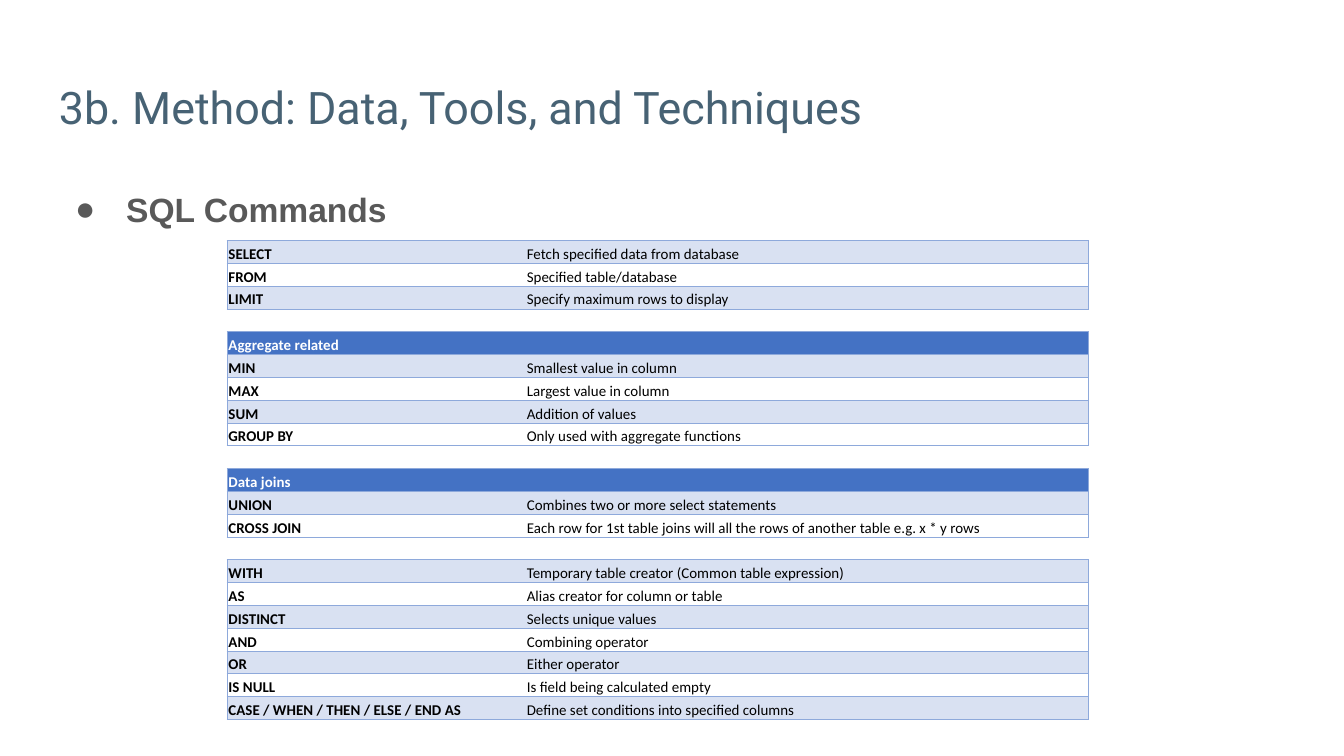
from lxml.etree import SubElement
from pptx import Presentation
from pptx.dml.color import RGBColor
from pptx.enum.text import MSO_ANCHOR as Anchor
from pptx.oxml.ns import qn
from pptx.util import Inches, Pt

SLATE = RGBColor(0x47, 0x62, 0x74)
GRAY = RGBColor(0x59, 0x59, 0x59)
BLACK = RGBColor(0, 0, 0)
WHITE = RGBColor(0xFF, 0xFF, 0xFF)
HEADER_BLUE = RGBColor(0x44, 0x72, 0xC4)
BAND_BLUE = RGBColor(0xD9, 0xE1, 0xF2)
RULE_BLUE = RGBColor(0x8E, 0xA9, 0xDB)

SLIDE_WIDTH = 10
ROW_HEIGHT = 0.17
COMMAND_SHARE = 2.22 / 6.41
COMMAND_GROUPS = [
    (None, [
        ("SELECT", "Fetch specified data from database"),
        ("FROM", "Specified table/database"),
        ("LIMIT", "Specify maximum rows to display"),
    ]),
    ("Aggregate related", [
        ("MIN", "Smallest value in column"),
        ("MAX", "Largest value in column"),
        ("SUM", "Addition of values"),
        ("GROUP BY", "Only used with aggregate functions"),
    ]),
    ("Data joins", [
        ("UNION", "Combines two or more select statements"),
        ("CROSS JOIN", "Each row for 1st table joins will all the rows of another table e.g. x * y rows"),
    ]),
    (None, [
        ("WITH", "Temporary table creator (Common table expression)"),
        ("AS", "Alias creator for column or table"),
        ("DISTINCT", "Selects unique values"),
        ("AND", "Combining operator"),
        ("OR", "Either operator"),
        ("IS NULL", "Is field being calculated empty"),
        ("CASE / WHEN / THEN / ELSE / END AS", "Define set conditions into specified columns"),
    ]),
]


def write_text(frame, text, font="Calibri", size=8, color=BLACK, bold=False, bullet=None):
    paragraph = frame.paragraphs[0]
    if bullet:
        properties = paragraph._p.get_or_add_pPr()
        properties.set("marL", str(Inches(0.5)))
        properties.set("indent", str(Inches(-0.38)))
        SubElement(properties, qn("a:buFont")).set("typeface", font)
        SubElement(properties, qn("a:buChar")).set("char", bullet)
        paragraph.line_spacing = 1.15
    if not text:
        paragraph._p.get_or_add_endParaRPr().set("sz", str(size * 100))
        return
    run = paragraph.add_run()
    run.text = text
    run.font.name = font
    run.font.size = Pt(size)
    run.font.color.rgb = color
    run.font.bold = bold


def add_heading(slide, box, text, **text_format):
    frame = slide.shapes.add_textbox(*map(Inches, box)).text_frame
    frame.word_wrap = True
    frame.vertical_anchor = Anchor.TOP
    frame.margin_left = frame.margin_right = Inches(0.1)
    frame.margin_top = frame.margin_bottom = Inches(0.1)
    write_text(frame, text, **text_format)


def set_borders(cell, ruled_sides):
    properties = cell._tc.get_or_add_tcPr()
    for side in "LRTB":
        border = SubElement(properties, qn(f"a:ln{side}"), w=str(Pt(0.5)))
        if side in ruled_sides:
            fill = SubElement(border, qn("a:solidFill"))
            SubElement(fill, qn("a:srgbClr")).set("val", str(RULE_BLUE))
        else:
            SubElement(border, qn("a:noFill"))


def fill_cell(cell, text, fill, ruled_sides, **text_format):
    cell.margin_left = cell.margin_right = cell.margin_top = Inches(0.01)
    cell.margin_bottom = 0
    cell.vertical_anchor = Anchor.BOTTOM
    set_borders(cell, ruled_sides)
    if fill is None:
        cell.fill.background()
    else:
        cell.fill.solid()
        cell.fill.fore_color.rgb = fill
    write_text(cell.text_frame, text, **text_format)


def command_rows():
    rows = []
    for group_index, (header, commands) in enumerate(COMMAND_GROUPS):
        if group_index:
            rows.append(("", "", None, BLACK))
        if header:
            rows.append((header, "", HEADER_BLUE, WHITE))
        for index, (command, meaning) in enumerate(commands):
            rows.append((command, meaning, None if index % 2 else BAND_BLUE, BLACK))
    return rows


def add_command_table(slide, left, top, width):
    rows = command_rows()
    table = slide.shapes.add_table(
        len(rows), 2, Inches(left), Inches(top), Inches(width), Inches(ROW_HEIGHT * len(rows))
    ).table
    table.first_row = table.horz_banding = False
    table.columns[0].width = Inches(width * COMMAND_SHARE)
    table.columns[1].width = Inches(width * (1 - COMMAND_SHARE))
    for index, (command, meaning, fill, color) in enumerate(rows):
        table.rows[index].height = Inches(ROW_HEIGHT)
        left_sides, right_sides = ("LTB", "RTB") if command else ("TB", "TB")
        fill_cell(table.cell(index, 0), command, fill, left_sides, color=color, bold=True)
        fill_cell(table.cell(index, 1), meaning, fill, right_sides, color=color)


def main():
    deck = Presentation()
    deck.slide_width = Inches(SLIDE_WIDTH)
    deck.slide_height = Inches(SLIDE_WIDTH * 9 / 16)
    slide = deck.slides.add_slide(deck.slide_layouts[6])
    add_heading(slide, (0.34, 0.49, 9.32, 0.63), "3b. Method: Data, Tools, and Techniques",
                font="Roboto", size=24, color=SLATE)
    add_heading(slide, (0.34, 1.26, 9.32, 3.74), "SQL Commands",
                font="Arial", size=18, color=GRAY, bold=True, bullet="●")
    add_command_table(slide, 1.69, 1.79, 6.41)
    deck.save("out.pptx")


if __name__ == "__main__":
    main()
